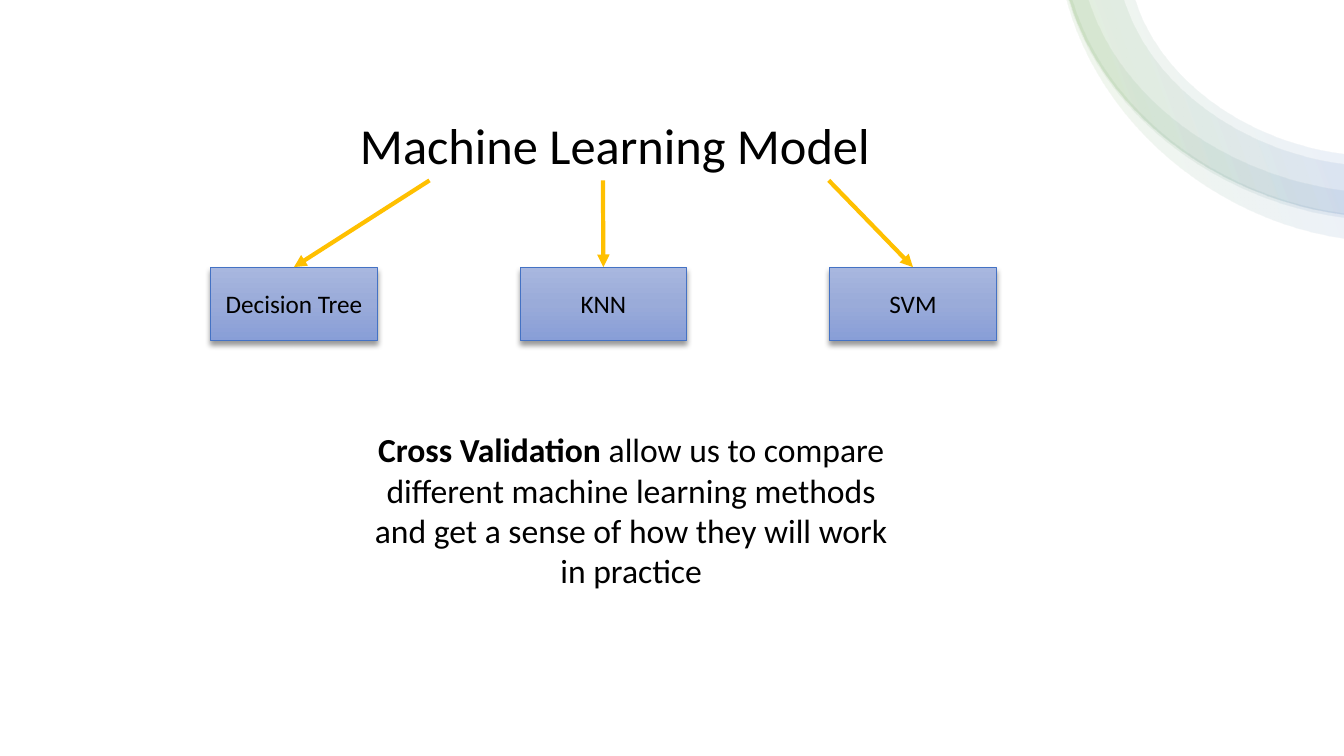
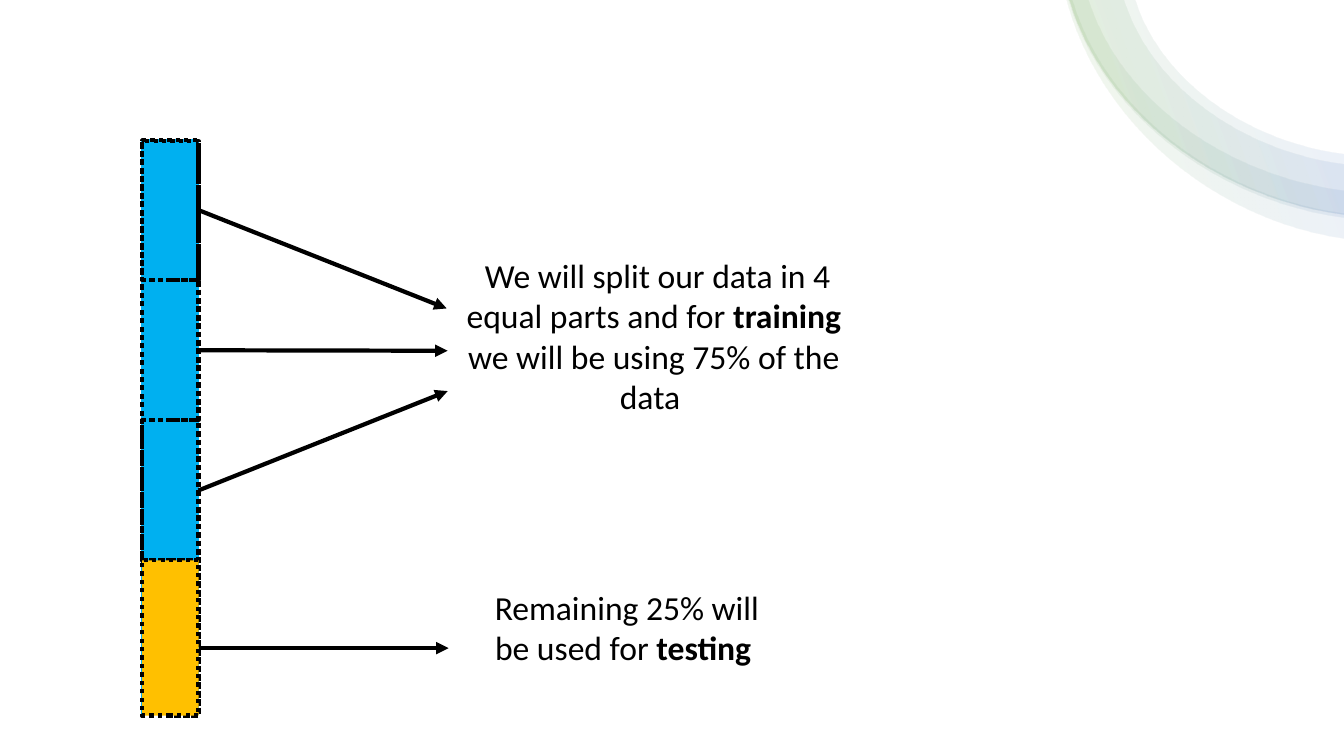
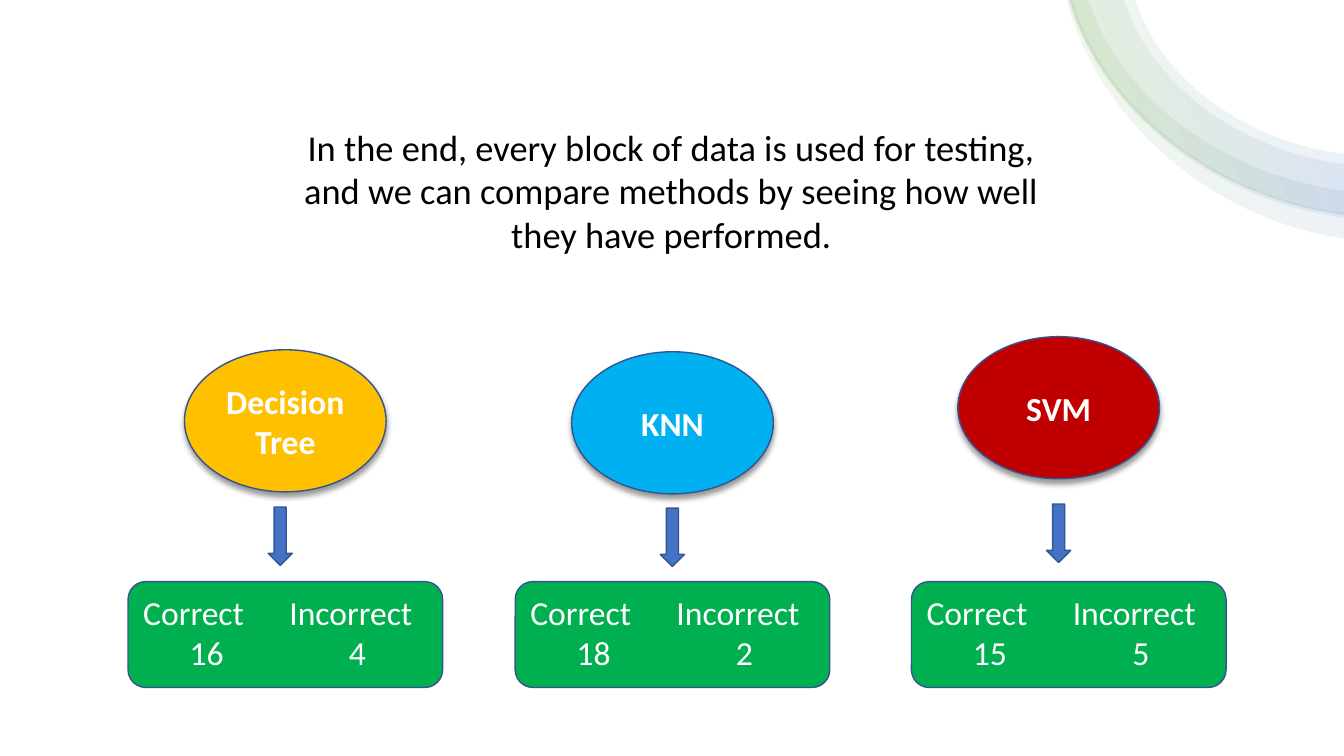
from pptx import Presentation
from pptx.dml.color import RGBColor
from pptx.enum.dml import MSO_LINE
from pptx.enum.shapes import MSO_CONNECTOR, MSO_SHAPE
from pptx.enum.text import MSO_ANCHOR, MSO_AUTO_SIZE, PP_ALIGN
from pptx.oxml.ns import qn
from pptx.util import Inches, Pt
from lxml.etree import SubElement

FONT = "Calibri"
BLACK, WHITE = "000000", "FFFFFF"
BLUE, SKY, GOLD = "4472C4", "00B0F0", "FFC000"
RED, GREEN, NAVY = "C00000", "00B050", "325491"
RIBBON_STOPS = [(2, WHITE, 10), (16, "70AD47", 10), (85, BLUE, 10), (100, WHITE, 10)]
BOX_STOPS = [(0, "A8B7DF", 100), (50, "9AABD9", 100), (100, "889ED7", 100)]
SLIDE_WIDTH = 13.33
color = RGBColor.from_string


def paint(shape, fill=None, outline=None, width=1, angle=0, shadow=False):
    properties = shape._element.spPr
    shape.shadow.inherit = False
    if fill is None:
        shape.fill.background()
    elif isinstance(fill, str):
        shape.fill.solid()
        shape.fill.fore_color.rgb = color(fill)
    else:
        shape.fill.gradient()
        shape.fill.gradient_angle = angle
        stop_list = properties.find(qn("a:gradFill")).find(qn("a:gsLst"))
        for old_stop in list(stop_list):
            stop_list.remove(old_stop)
        for position, tone, opacity in fill:
            stop = SubElement(stop_list, qn("a:gs"), pos=str(position * 1000))
            tint = SubElement(stop, qn("a:srgbClr"), val=tone)
            SubElement(tint, qn("a:alpha"), val=str(opacity * 1000))
    if outline:
        shape.line.color.rgb = color(outline)
        shape.line.width = Pt(width)
    else:
        shape.line.fill.background()
    if shadow:
        outer = SubElement(properties.find(qn("a:effectLst")), qn("a:outerShdw"),
                           blurRad=str(Pt(4)), dist=str(Pt(3)), dir="5400000", rotWithShape="0")
        tint = SubElement(outer, qn("a:srgbClr"), val=BLACK)
        SubElement(tint, qn("a:alpha"), val="40000")


def write(shape, text, size, tone=BLACK, align=PP_ALIGN.CENTER, anchor=MSO_ANCHOR.TOP):
    frame = shape.text_frame
    frame.word_wrap = True
    frame.vertical_anchor = anchor
    for index, line in enumerate(text.split("\n")):
        paragraph = frame.add_paragraph() if index else frame.paragraphs[0]
        paragraph.alignment = align
        for part_index, part in enumerate(line.split("*")):
            if part:
                run = paragraph.add_run()
                run.text = part
                run.font.name = FONT
                run.font.size = Pt(size)
                run.font.bold = part_index % 2 == 1
                run.font.color.rgb = color(tone)


presentation = Presentation()
presentation.slide_width = Inches(SLIDE_WIDTH)
presentation.slide_height = Inches(7.5)
layouts = presentation.slide_layouts
models_slide = presentation.slides.add_slide(layouts[5])
split_slide = presentation.slides.add_slide(layouts[6])
results_slide = presentation.slides.add_slide(layouts[6])

CURVE_STEPS = 24
arc = []
for step in range(CURVE_STEPS + 1):
    t = step / CURVE_STEPS
    near, far = 3 * t * (1 - t) ** 2, 3 * t * t * (1 - t)
    arc.append((0.12 * near + 0.53 * far + t ** 3, 0.52 * near + 0.92 * far + t ** 3))

ribbons = [
    ((10.58, 2.37), (10.64, 2.12)),
    ((10.61, 2.13), (11.26, 1.53)),
    ((10.6, 2.16), (10.8, 1.89)),
    ((10.61, 2.13), (11.15, 1.63)),
]
for ribbon in ribbons:
    outer_edge, inner_edge = [
        [(Inches(left + (SLIDE_WIDTH - left) * x), Inches(bottom * y)) for x, y in arc]
        for left, bottom in ribbon]
    corners = outer_edge + inner_edge[::-1]
    for slide in presentation.slides:
        builder = slide.shapes.build_freeform(*corners[0])
        builder.add_line_segments(corners[1:], close=True)
        paint(builder.convert_to_shape(), RIBBON_STOPS, angle=20)

title = models_slide.shapes.title
title.left, title.top, title.width, title.height = Inches(3.04), Inches(0.34), Inches(6.12), Inches(1.45)
write(title, "Machine Learning Model", 36, anchor=MSO_ANCHOR.BOTTOM)
title.text_frame.auto_size = MSO_AUTO_SIZE.NONE
title.text_frame.paragraphs[0].line_spacing = 0.9

text_boxes = [
    (models_slide, 3.62, 4.21, 5.28, 1.72, 24,
     "*Cross Validation *allow us to compare different machine learning methods "
     "and get a sense of how they will work in practice"),
    (split_slide, 4.36, 2.48, 4.25, 1.72, 24,
     "* *We will split our data in 4 equal parts and for *training* we will be using 75% of the data "),
    (split_slide, 4.54, 5.77, 3.28, 0.91, 24, "* *Remaining 25% will be used for *testing*"),
    (results_slide, 2.66, 1.19, 8, 1.41, 26,
     "In the end, every block of data is used for testing, and we can compare methods "
     "by seeing how well they have performed."),
]
for slide, left, top, width, height, size, text in text_boxes:
    text_box = slide.shapes.add_textbox(Inches(left), Inches(top), Inches(width), Inches(height))
    write(text_box, text, size)
    text_box.text_frame.auto_size = MSO_AUTO_SIZE.SHAPE_TO_FIT_TEXT

arrows = []
arrow_starts = [4.26, 5.98, 8.22]
for index, model in enumerate(["Decision Tree", "KNN", "SVM"]):
    left = 2.09 + 3.07 * index
    model_box = models_slide.shapes.add_shape(
        MSO_SHAPE.RECTANGLE, Inches(left), Inches(2.65), Inches(1.65), Inches(0.73))
    paint(model_box, BOX_STOPS, BLUE, 0.5, angle=270, shadow=True)
    write(model_box, model, 18, anchor=MSO_ANCHOR.MIDDLE)
    arrow_end = (left + 1.65 / 2, 2.65)
    arrows.append((models_slide, (arrow_starts[index], 1.79), arrow_end, GOLD, None, model_box))

BLOCK_HEIGHT = 1.39
data_bar = split_slide.shapes.add_shape(
    MSO_SHAPE.RECTANGLE, Inches(1.41), Inches(1.39), Inches(0.56), Inches(5.7))
paint(data_bar, SKY, SKY)
bar_outline = split_slide.shapes.add_shape(
    MSO_SHAPE.RECTANGLE, Inches(1.41), Inches(1.4), Inches(0.56), Inches(5.7))
paint(bar_outline, None, BLACK, 3)
bar_outline.line.dash_style = MSO_LINE.ROUND_DOT
arrow_ends = [(4.43, 3.06), (4.44, 3.48), (4.44, 3.88), (4.45, 6.43)]
for index, arrow_end in enumerate(arrow_ends):
    is_test = index == 3
    top = 1.39 + BLOCK_HEIGHT * index
    block = split_slide.shapes.add_shape(
        MSO_SHAPE.RECTANGLE, Inches(1.41), Inches(top), Inches(0.56),
        Inches(1.54 if is_test else BLOCK_HEIGHT))
    paint(block, GOLD if is_test else None, BLACK, 3)
    block.line.dash_style = MSO_LINE.ROUND_DOT
    arrow_start = (1.97, 6.43 if is_test else top + BLOCK_HEIGHT / 2)
    arrows.append((split_slide, arrow_start, arrow_end, BLACK, None if is_test else block, None))

for slide, start, end, tone, start_shape, end_shape in arrows:
    arrow = slide.shapes.add_connector(MSO_CONNECTOR.STRAIGHT, *[Inches(value) for value in start + end])
    if start_shape:
        arrow.begin_connect(start_shape, 3)
    if end_shape:
        arrow.end_connect(end_shape, 0)
    arrow.line.color.rgb = color(tone)
    arrow.line.width = Pt(3)
    properties = arrow._element.spPr
    SubElement(properties.find(qn("a:ln")), qn("a:tailEnd"), type="triangle")
    SubElement(properties, qn("a:effectLst"))

results = [
    ("Decision Tree", GOLD, 16, 4, (1.83, 3.47), (2.66, 5.03), 1.27),
    ("KNN", SKY, 18, 2, (5.67, 3.49), (6.55, 5.04), 5.11),
    ("SVM", RED, 15, 5, (9.5, 3.34), (10.38, 5), 9.04),
]
for model, tone, correct, incorrect, oval_corner, arrow_corner, card_left in results:
    oval = results_slide.shapes.add_shape(
        MSO_SHAPE.OVAL, *[Inches(value) for value in oval_corner], Inches(2), Inches(1.41))
    paint(oval, tone, NAVY, shadow=True)
    write(oval, f"*{model}*", 24, WHITE, anchor=MSO_ANCHOR.MIDDLE)
    down_arrow = results_slide.shapes.add_shape(
        MSO_SHAPE.DOWN_ARROW, *[Inches(value) for value in arrow_corner], Inches(0.24), Inches(0.58))
    paint(down_arrow, BLUE, NAVY)
    card = results_slide.shapes.add_shape(
        MSO_SHAPE.ROUNDED_RECTANGLE, Inches(card_left), Inches(5.77), Inches(3.12), Inches(1.05))
    paint(card, GREEN, NAVY)
    write(card, f"Correct\tIncorrect\n\t{correct}\t{incorrect}", 24, WHITE, PP_ALIGN.LEFT)
    for paragraph, stops in zip(card.text_frame.paragraphs, [[1.45], [0.46, 2.04]]):
        tab_list = SubElement(paragraph._p.get_or_add_pPr(), qn("a:tabLst"))
        for stop in stops:
            SubElement(tab_list, qn("a:tab"), pos=str(Inches(stop)), algn="l")

presentation.save("out.pptx")
